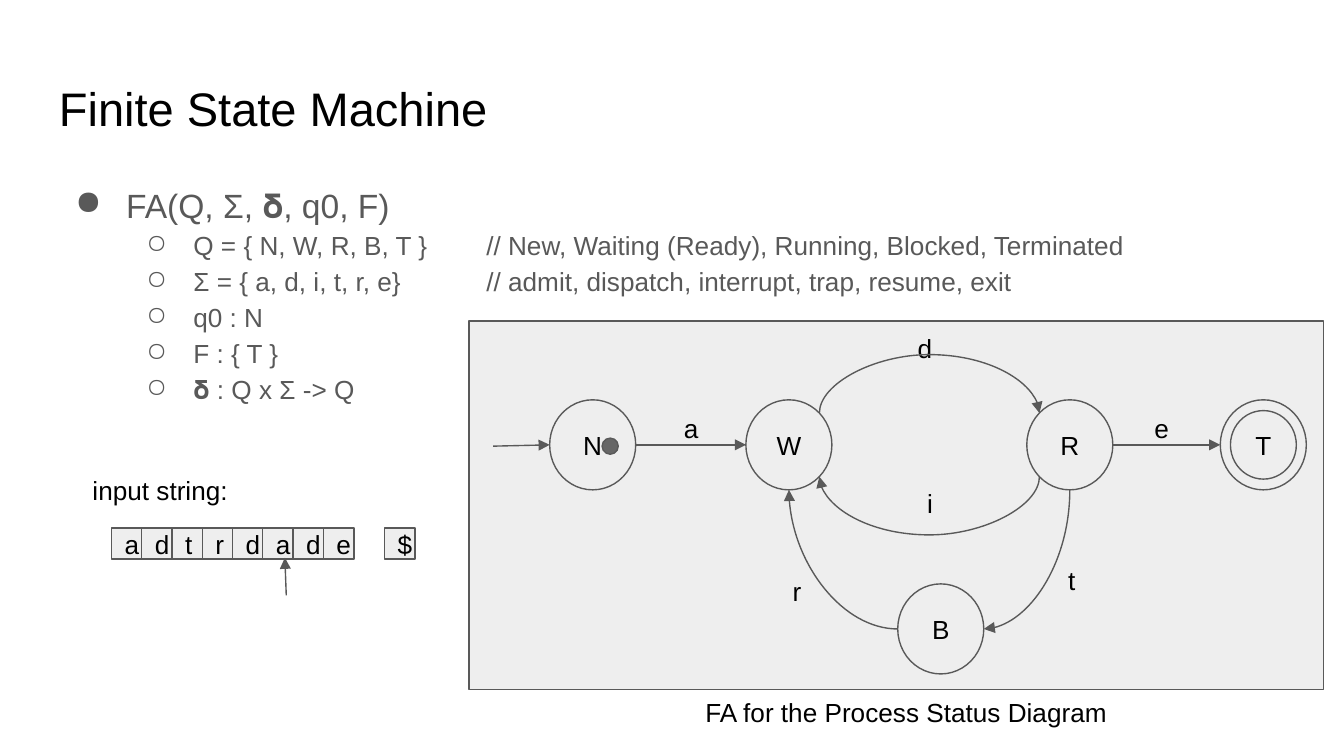
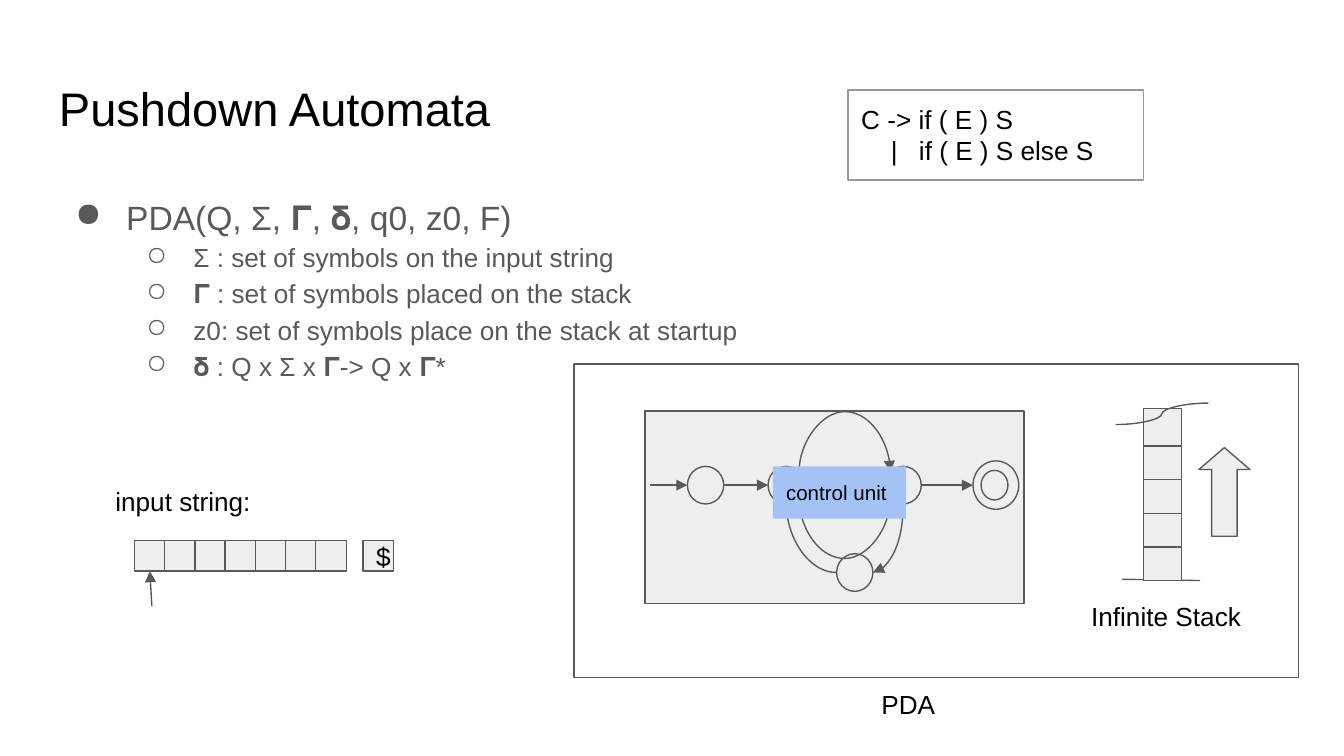
import dataclasses
import math

import lxml.etree
import pptx
import pptx.dml.color
import pptx.enum.shapes
import pptx.enum.text
import pptx.oxml.ns
import pptx.util

SHAPE = pptx.enum.shapes.MSO_SHAPE
LINK = pptx.enum.shapes.MSO_CONNECTOR
ALIGN = pptx.enum.text.PP_ALIGN
ANCHOR = pptx.enum.text.MSO_ANCHOR
qn = pptx.oxml.ns.qn


@dataclasses.dataclass(frozen=True)
class Theme:
    font: str = "Arial"
    ink: str = "000000"
    grey: str = "595959"
    pale: str = "EEEEEE"
    white: str = "FFFFFF"
    frame: str = "999999"
    token: str = "666666"
    blue: str = "A4C2F4"
    title: float = 25.2
    head: float = 18
    base: float = 14
    small: float = 11
    line: float = 0.75


T = Theme()

FSM = {
    "title": "Finite State Machine",
    "top": 1.23,
    "head": "FA(Q, Σ, 𝛅, q0, F)",
    "items": [
        "Q = { N, W, R, B, T }\t// New, Waiting (Ready), Running, Blocked, Terminated",
        "Σ = { a, d, i, t, r, e}\t// admit, dispatch, interrupt, trap, resume, exit",
        "q0 : N",
        "F : { T }",
        "𝛅 : Q x Σ -> Q",
    ],
    "panel": (3.49, 2.39, 6.36, 2.74, T.pale),
    "tape": {"at": (0.83, 3.93), "cells": "adtrdade", "end": 2.86},
    "graph": {
        "size": (0.64, 0.67),
        "nodes": {"N": (4.41, 3.31), "W": (5.87, 3.31), "R": (7.96, 3.31), "B": (7, 4.68)},
        "final": (9.4, 3.31, 0.64, 0.67),
        "inner": (9.4, 3.31, 0.49, 0.51),
        "start": (3.67, 3.32),
        "bulge": (0.36, 551.01),
        "named": True,
    },
    "notes": [
        ("a", 4.99, 2.97, 0.37), ("d", 6.73, 2.37, 0.37), ("i", 6.8, 3.53, 0.37),
        ("e", 8.49, 2.97, 0.37), ("t", 7.85, 4.1, 0.37), ("r", 5.8, 4.18, 0.37),
        ("FA for the Process Status Diagram", 5.15, 5.08, 4.49),
        ("input string:", 0.59, 3.43, 1.37),
    ],
}

PDA = {
    "title": "Pushdown Automata",
    "top": 1.32,
    "head": "PDA(Q, Σ, 𝚪, 𝛅, q0, z0, F)",
    "items": [
        "Σ : set of symbols on the input string",
        "𝚪 : set of symbols placed on the stack",
        "z0: set of symbols place on the stack at startup",
        "𝛅 : Q x Σ x 𝚪-> Q x 𝚪*",
    ],
    "panel": (4.27, 2.71, 5.39, 2.33, T.white),
    "tape": {"at": (1, 4.02), "cells": [""] * 7, "end": 2.7},
    "graph": {
        "size": (0.27, 0.28),
        "nodes": {"N": (5.25, 3.61), "W": (5.85, 3.61), "R": (6.72, 3.61), "B": (6.36, 4.26)},
        "final": (7.41, 3.61, 0.34, 0.36),
        "inner": (7.4, 3.61, 0.2, 0.22),
        "start": (4.84, 3.61),
        "bulge": (0.4, 568.13),
        "named": False,
    },
    "notes": [
        ("input string:", 0.76, 3.51, 2.44),
        ("Infinite Stack", 8.02, 4.37, 1.51),
        ("PDA", 6.46, 5.02, 1.23),
    ],
}

EDGES = [("N", 6, "W", 2), ("R", 6, "T", 2)]
LOOPS = [("W", 7, "R", 1, 270, True), ("R", 3, "W", 5, 90, False)]
BENDS = [("R", 4, "B", 6, 90), ("B", 2, "W", 4, 180)]


def cm(inch):
    return pptx.util.Cm(inch * 2.54)


def rgb(code):
    return pptx.dml.color.RGBColor.from_string(code)


def sub(node, tag, **attrs):
    return lxml.etree.SubElement(node, qn(tag), **attrs)


def write(shape, text, size=T.base, color=T.ink, align=ALIGN.LEFT, anchor=ANCHOR.TOP,
          bullet=None, left=0, hang=0, tabs=(), space=None, more=False):
    frame = shape.text_frame
    if not more:
        frame.word_wrap = True
        frame.vertical_anchor = anchor
        frame.margin_left = frame.margin_right = cm(0.1)
        frame.margin_top = frame.margin_bottom = cm(0.1)
    para = frame.add_paragraph() if more else frame.paragraphs[0]
    para.alignment = align
    if space:
        para.line_spacing = space
    props = para._p.get_or_add_pPr()
    if left:
        props.set("marL", str(cm(left)))
        props.set("indent", str(cm(hang)))
    if bullet:
        sub(sub(props, "a:buClr"), "a:srgbClr", val=color)
        sub(props, "a:buChar", char=bullet)
    if tabs:
        stops = sub(props, "a:tabLst")
        for pos in tabs:
            sub(stops, "a:tab", pos=str(cm(pos)), algn="l")
    run = para.add_run()
    run.text = text
    run.font.name = T.font
    run.font.size = pptx.util.Pt(size)
    run.font.color.rgb = rgb(color)


def label(slide, text, x, y, w, h=0.44, **form):
    box = slide.shapes.add_textbox(cm(x), cm(y), cm(w), cm(h))
    write(box, text, **form)
    return box


def block(slide, x, y, w, h, kind=SHAPE.RECTANGLE, fill=T.pale, line=T.grey):
    shape = slide.shapes.add_shape(kind, cm(x), cm(y), cm(w), cm(h))
    shape.shadow.inherit = False
    if fill:
        shape.fill.solid()
        shape.fill.fore_color.rgb = rgb(fill)
    else:
        shape.fill.background()
    if line:
        shape.line.color.rgb = rgb(line)
        shape.line.width = pptx.util.Pt(T.line)
    else:
        shape.line.fill.background()
    return shape


def disc(slide, x, y, w, h, **form):
    return block(slide, x - w / 2, y - h / 2, w, h, SHAPE.OVAL, **form)


def wire(slide, a, b, kind=LINK.STRAIGHT, arrow=True):
    link = slide.shapes.add_connector(kind, cm(a[0]), cm(a[1]), cm(b[0]), cm(b[1]))
    link.line.color.rgb = rgb(T.grey)
    link.line.width = pptx.util.Pt(T.line)
    props = link._element.spPr
    if arrow:
        sub(props.find(qn("a:ln")), "a:tailEnd", type="triangle")
    sub(props, "a:effectLst")
    return link


def glue(link, tag, shape, site):
    node = link._element.find(qn("p:nvCxnSpPr")).find(qn("p:cNvCxnSpPr"))
    sub(node, tag, id=str(shape.shape_id), idx=str(site))


def bend(slide, a, b, turn, flip=False, bulge=None):
    w, h = abs(b[0] - a[0]), abs(b[1] - a[1])
    if turn in (90, 270):
        w, h = h, w
    if bulge:
        w = bulge[0] / bulge[1]
    x, y = (a[0] + b[0] - w) / 2, (a[1] + b[1] - h) / 2
    link = wire(slide, (x, y), (x + w, y + h), LINK.CURVE)
    props = link._element.spPr
    frame = props.find(qn("a:xfrm"))
    frame.set("rot", str(turn * 60000))
    if flip:
        frame.set("flipH", "1")
    geom = props.find(qn("a:prstGeom"))
    if bulge:
        ratio = -bulge[1] if flip else bulge[1]
        guide = geom.find(qn("a:avLst"))
        if guide is None:
            guide = sub(geom, "a:avLst")
        sub(guide, "a:gd", name="adj1", fmla=f"val {round(ratio * 100000)}")
    else:
        geom.set("prst", "curvedConnector2")
    return link


def graph(slide, data):
    w, h = data["size"]
    spots = {name: (*spot, w, h) for name, spot in data["nodes"].items()}
    spots["T"] = data["final"]
    discs = {name: disc(slide, *spot) for name, spot in spots.items()}
    inner = disc(slide, *data["inner"])
    if data["named"]:
        for name, shape in {**discs, "T": inner}.items():
            write(shape, name, align=ALIGN.CENTER, anchor=ANCHOR.MIDDLE)

    def site(name, num):
        x, y, wide, high = spots[name]
        turn = math.radians(45 * num)
        return x - wide / 2 * math.sin(turn), y - high / 2 * math.cos(turn)

    def join(link, src, out, dst, into):
        glue(link, "a:stCxn", discs[src], out)
        glue(link, "a:endCxn", discs[dst], into)

    entry = wire(slide, data["start"], site("N", 2))
    glue(entry, "a:endCxn", discs["N"], 2)
    for ends in EDGES:
        join(wire(slide, site(*ends[:2]), site(*ends[2:])), *ends)
    for *ends, turn, flip in LOOPS:
        link = bend(slide, site(*ends[:2]), site(*ends[2:]), turn, flip, data["bulge"])
        join(link, *ends)
    for *ends, turn in BENDS:
        join(bend(slide, site(*ends[:2]), site(*ends[2:]), turn), *ends)


def tape(slide, data):
    x, y = data["at"]
    marks = [(x + 0.225 * num, sign) for num, sign in enumerate(data["cells"])]
    cells = []
    for left, sign in marks + [(data["end"], "$")]:
        cell = block(slide, left, y, 0.23, 0.23)
        if sign:
            write(cell, sign, anchor=ANCHOR.MIDDLE)
        cells.append(cell)
    return cells


def start(deck, data):
    slide = deck.slides.add_slide(deck.slide_layouts[6])
    body = label(slide, data["head"], 0.34, data["top"], 9.32, 3.74, size=T.head,
                 color=T.grey, bullet="●", left=0.5, hang=-0.38, space=1.15)
    for item in data["items"]:
        write(body, item, color=T.grey, bullet="○", left=1, hang=-0.35, space=1.15,
              tabs=(2.18, 3.18) if "\t" in item else (), more=True)
    *area, fill = data["panel"]
    block(slide, *area, fill=fill)
    label(slide, data["title"], 0.34, 0.49, 9.32, 0.63, size=T.title)
    for note in data["notes"]:
        label(slide, *note)
    return slide, tape(slide, data["tape"])


def stack(slide):
    wire(slide, (8.35, 4.31), (8.93, 4.32), arrow=False)
    for num in reversed(range(5)):
        block(slide, 8.51, 3.04 + 0.25 * num, 0.28, 0.28)
    wire(slide, (8.3, 3.16), (8.99, 3), LINK.CURVE, arrow=False)
    arrow = block(slide, 8.78, 3.47, 0.66, 0.38, SHAPE.RIGHT_ARROW)
    arrow.rotation = 270
    arrow.adjustments[1] = 0.43


def main():
    deck = pptx.Presentation()
    deck.slide_width, deck.slide_height = cm(10), cm(5.625)

    slide, cells = start(deck, FSM)
    graph(slide, FSM["graph"])
    wire(slide, (2.13, 4.43), (2.12, 4.15))
    disc(slide, 4.54, 3.32, 0.12, 0.12, fill=T.token)

    slide, cells = start(deck, PDA)
    wire(slide, (1.13, 4.51), (1.12, 4.25)).end_connect(cells[0], 2)
    stack(slide)
    rules = block(slide, 6.31, 0.67, 2.2, 0.67, fill=None, line=T.frame)
    write(rules, "C -> if ( E ) S")
    write(rules, "|\tif ( E ) S else S", left=0.43, hang=-0.21, more=True)
    block(slide, 4.8, 3.06, 2.82, 1.43)
    graph(slide, PDA["graph"])
    unit = block(slide, 5.75, 3.47, 0.99, 0.39, fill=T.blue, line=None)
    write(unit, "control unit", size=T.small)

    deck.save("out.pptx")


if __name__ == "__main__":
    main()
